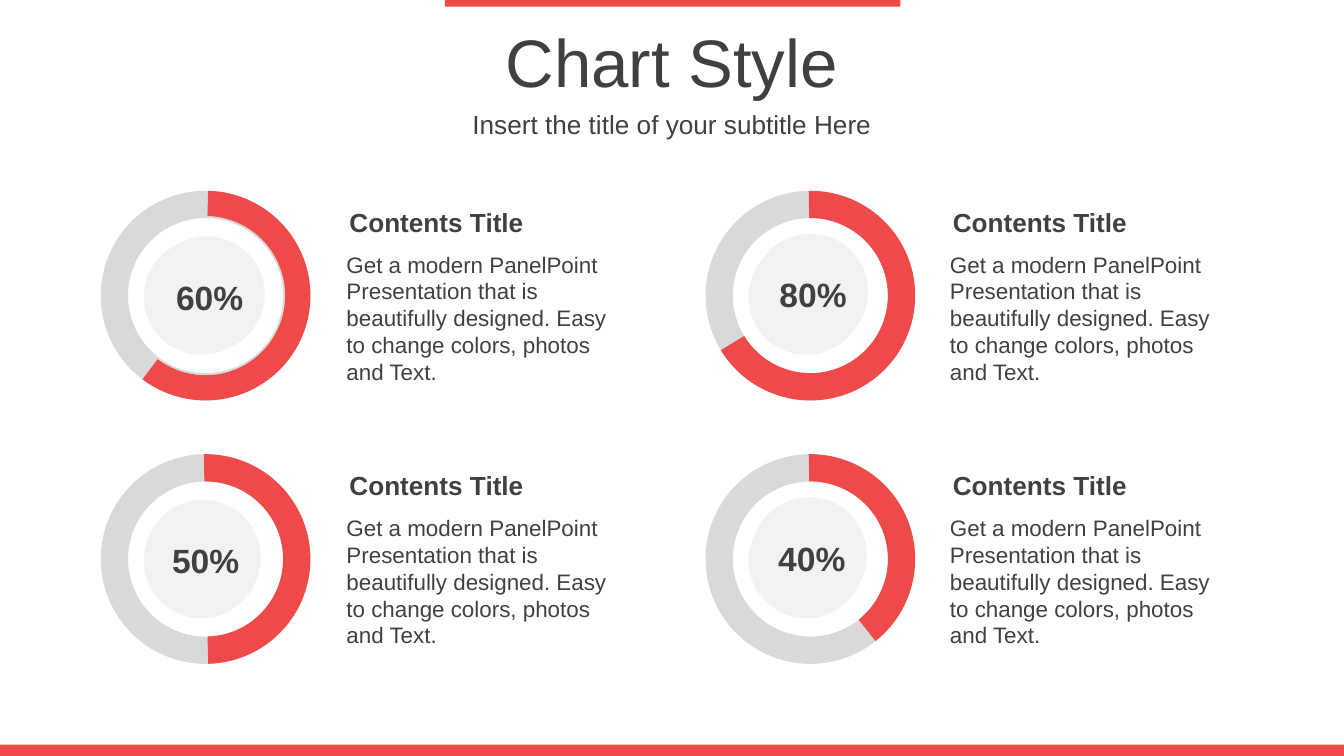
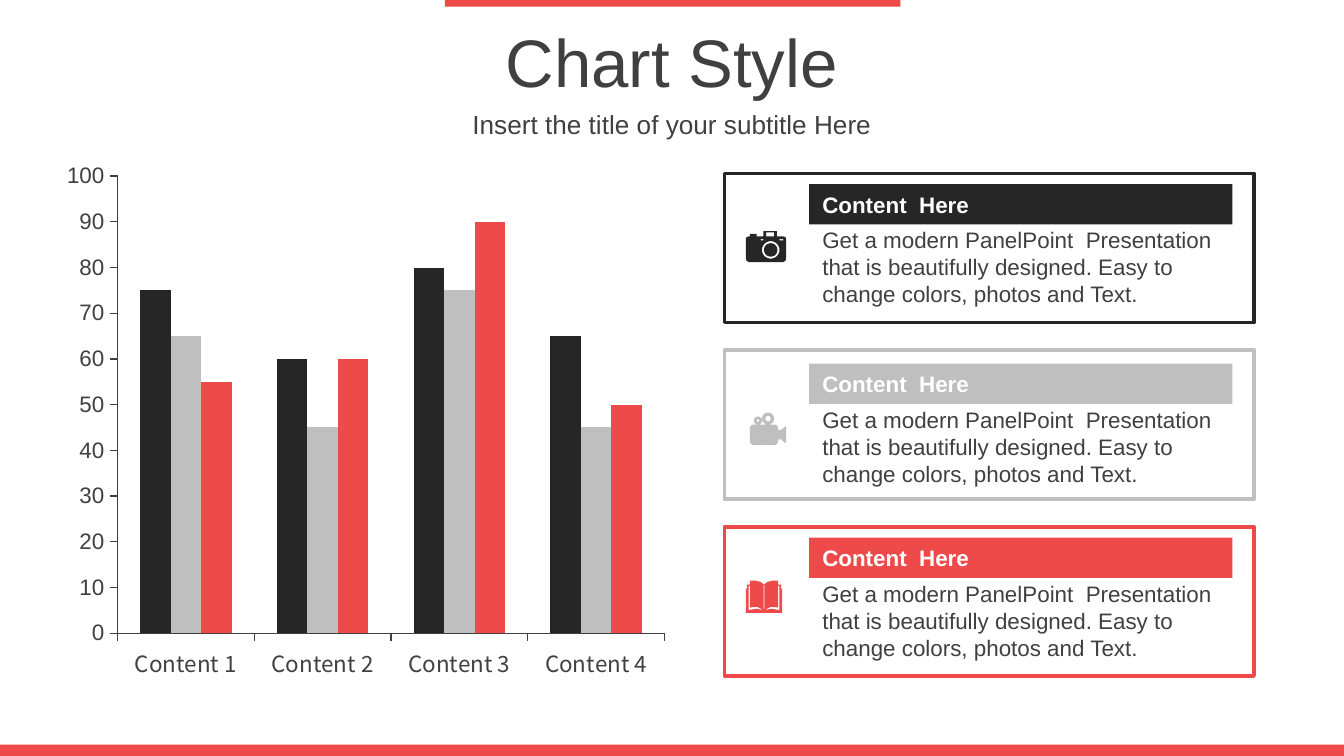
"""Build two chart slides: four percent rings, then a column chart with cards."""
from math import cos, pi, sin

from lxml import etree
from pptx import Presentation
from pptx.chart.data import CategoryChartData
from pptx.dml.color import RGBColor
from pptx.enum.chart import XL_CHART_TYPE, XL_TICK_MARK
from pptx.enum.shapes import MSO_SHAPE
from pptx.enum.text import MSO_ANCHOR, MSO_AUTO_SIZE, PP_ALIGN
from pptx.oxml.ns import qn
from pptx.util import Inches, Pt

RECT, OVAL = MSO_SHAPE.RECTANGLE, MSO_SHAPE.OVAL
DONUT, ARC = MSO_SHAPE.DONUT, MSO_SHAPE.BLOCK_ARC
MID, GROW = MSO_ANCHOR.MIDDLE, MSO_AUTO_SIZE.SHAPE_TO_FIT_TEXT
LEFT, CENTER = PP_ALIGN.LEFT, PP_ALIGN.CENTER
OUT, NONE = XL_TICK_MARK.OUTSIDE, XL_TICK_MARK.NONE
COLUMN = XL_CHART_TYPE.COLUMN_CLUSTERED

WIDE, TALL = 10, 10 * 9 / 16
FONT, CAT_FONT = "Arial", "Noto Sans CJK KR"
HEX = {"red": "EF4A4A", "ink": "404040", "dark": "262626", "gray": "BFBFBF",
       "track": "D9D9D9", "pale": "F2F2F2", "white": "FFFFFF"}

TITLE = "Chart Style"
SUB = "Insert the title of your subtitle Here"
HEAD = "Contents Title"
CARD_HEAD = "Content  Here"
BODY = ("Get a modern PanelPoint  Presentation that is beautifully designed. "
        "Easy to change colors, photos and Text.")

BANDS = [(3.31, 0, 3.39, 0.05), (0, 5.54, WIDE, TALL - 5.54)]

RINGS = [
    {"label": "60%", "arc": (271.39, 127, 0.12), "disc": (0.36, 0.34)},
    {"label": "80%", "arc": (269.13, 148.6, 0.13), "disc": (0.35, 0.32)},
    {"label": "50%", "arc": (269.13, 88.52, 0.13), "disc": (0.33, 0.34)},
    {"label": "40%", "arc": (269.13, 51.52, 0.13), "disc": (0.34, 0.32)},
]

CATS = ["Content 1", "Content 2", "Content 3", "Content 4"]
SERIES = [
    ("Series 1", (75, 60, 80, 65), "dark"),
    ("Series 2", (65, 45, 75, 45), "gray"),
    ("Series 3", (55, 60, 90, 50), "red"),
]
PLOT = {"x": 0.096, "y": 0.039, "w": 0.877, "h": 0.875}

CAMERA = [
    (18.5, 14, 5), (18.5, 14, 6.5),
    [(11, 6), (13, 6), (13, 7), (11, 7)],
    [(25, 6), (28, 6), (28, 7), (25, 7)],
    [(15, 1), (21, 1), (21, 4), (15, 4)],
    [(2, 4), (3, 4), (3, 2), (8, 2), (8, 4), (13, 4), (13, 0), (23, 0),
     (23, 4), (28, 4), (29.5, 4.5), (30, 6), (30, 20), (29.5, 22), (28, 23),
     (2, 23), (0.5, 22), (0, 20), (0, 6), (0.5, 4.5)],
]
VIDEO = [
    (6, 6, 1), (6, 6, 3), (13.5, 4.5, 2), (13.5, 4.5, 4.5),
    [(2, 9), (19, 9), (20.5, 10), (21, 12), (21, 13), (23, 13), (27, 10),
     (27, 23), (23, 20), (21, 20), (21, 21), (20.5, 23), (19, 24), (2, 24),
     (0.5, 23), (0, 21), (0, 12), (0.5, 10)],
]
PAGE = [(3, 4), (2, 4), (2, 22), (8, 21), (13, 22), (8.5, 19.5), (3, 20)]
BOOK = [
    PAGE, [(27 - x, y) for x, y in PAGE],
    [(13.3, 3.5), (13.7, 3.5), (13.7, 21), (13.3, 21)],
    [(0, 6), (1, 6), (1, 3), (3, 3), (3, 0), (7, 0), (11, 1), (13.5, 3),
     (16, 1), (20, 0), (24, 0), (24, 3), (26, 3), (26, 6), (27, 6),
     (27, 24), (0, 24)],
]
CARDS = [
    {"hue": "dark", "tab": 0.08, "icon": CAMERA, "spot": (5.55, 1.72)},
    {"hue": "gray", "tab": 0.1, "icon": VIDEO, "spot": (5.58, 3.07)},
    {"hue": "red", "tab": 0.08, "icon": BOOK, "spot": (5.55, 4.32)},
]


def rgb(name):
    return RGBColor.from_string(HEX[name])


def paint(shape, fill, line=None):
    shape.shadow.inherit = False
    shape.fill.solid()
    shape.fill.fore_color.rgb = rgb(fill)
    if line:
        shape.line.color.rgb = rgb(line)
        shape.line.width = Pt(2)
    else:
        shape.line.fill.background()


def style(font, size, color="ink", bold=False, name=FONT):
    for key, val in {"size": Pt(size), "bold": bold, "name": name}.items():
        setattr(font, key, val)
    font.color.rgb = rgb(color)


def block(slide, kind, at, fill, line=None, adj=()):
    shape = slide.shapes.add_shape(kind, *map(Inches, at))
    for i, val in enumerate(adj):
        shape.adjustments[i] = val
    paint(shape, fill, line)
    return shape


def write(shape, text, size, align=LEFT, inset=0.1, fit=GROW, **look):
    frame = shape.text_frame
    form = {"word_wrap": True, "vertical_anchor": MID, "auto_size": fit,
            "margin_left": Inches(inset), "margin_right": Inches(inset)}
    for key, val in form.items():
        setattr(frame, key, val)
    para = frame.paragraphs[0]
    para.alignment = align
    run = para.add_run()
    run.text = text
    style(run.font, size, **look)


def label(slide, at, text, size, **look):
    write(slide.shapes.add_textbox(*map(Inches, at)), text, size, **look)


def start(deck):
    slide = deck.slides.add_slide(deck.slide_layouts[6])
    for at in BANDS:
        block(slide, RECT, at, "red")
    mid = {"align": CENTER, "fit": MSO_AUTO_SIZE.NONE}
    label(slide, (0, 0.14, WIDE, 0.63), TITLE, 36, **mid)
    label(slide, (0, 0.77, WIDE, 0.31), SUB, 14, **mid)
    return slide


def draw_ring(slide, i, ring):
    row, col = divmod(i, 2)
    x, y, size, disc = 0.75 + 4.5 * col, 1.42 + 1.96 * row, 1.56, 0.86
    begin, end, thick = ring["arc"]
    dx, dy = x + ring["disc"][0], y + ring["disc"][1]
    block(slide, DONUT, (x, y, size, size), "track", adj=[0.13])
    block(slide, OVAL, (x + 0.32, y + 0.36, disc, disc), "pale")
    block(slide, ARC, (x, y, size, size), "red",
          adj=[begin * 0.6, end * 0.6, thick])
    block(slide, OVAL, (dx, dy, disc, disc), "pale")
    label(slide, (dx + 0.06, dy + 0.25, 0.78, 0.4), ring["label"], 18,
          align=CENTER, bold=True)
    left = 2.48 + 4.49 * col
    label(slide, (left, y + 0.39, 2.2, 1.11), BODY, 12)
    label(slide, (left, y + 0.06, 2.2, 0.34), HEAD, 14, inset=0.12, bold=True)


def trace(part):
    if isinstance(part, list):
        return part
    x, y, r = part
    turns = [2 * pi * i / 32 for i in range(32)]
    return [(x + r * cos(t), y + r * sin(t)) for t in turns]


def draw_icon(slide, parts, spot, hue):
    paths = [[(spot[0] * 1000 + x * 10, spot[1] * 1000 + y * 10)
              for x, y in trace(part)] for part in parts]
    pen = slide.shapes.build_freeform(*paths[0][0], scale=Inches(1) / 1000)
    for i, path in enumerate(paths):
        if i:
            pen.move_to(*path[0])
        pen.add_line_segments(path[1:], close=True)
    paint(pen.convert_to_shape(), hue)


def draw_card(slide, i, card):
    y, hue = 1.29 + 1.315 * i, card["hue"]
    top = y + card["tab"]
    block(slide, RECT, (5.39, y, 3.94, 1.11), "white", hue)
    label(slide, (6.02, top + 0.26, 3.15, 0.71), BODY, 12)
    tab = block(slide, RECT, (6.02, top, 3.15, 0.3), hue)
    write(tab, CARD_HEAD, 12, color="white", bold=True)
    draw_icon(slide, card["icon"], card["spot"], hue)


def place_plot(chart):
    area = chart._chartSpace.xpath("//c:plotArea")[0]
    for old in area.findall(qn("c:layout")):
        area.remove(old)
    layout = etree.Element(qn("c:layout"))
    manual = etree.SubElement(layout, qn("c:manualLayout"))
    vals = {"layoutTarget": "inner", "xMode": "edge", "yMode": "edge", **PLOT}
    for key, val in vals.items():
        etree.SubElement(manual, qn("c:" + key)).set("val", str(val))
    area.insert(0, layout)


def draw_chart(slide):
    data = CategoryChartData()
    data.categories = CATS
    for name, vals, _ in SERIES:
        data.add_series(name, vals)
    at = map(Inches, (0.43, 1.16, 4.64, 3.9))
    chart = slide.shapes.add_chart(COLUMN, *at, data).chart
    chart.has_legend = chart.has_title = False
    style(chart.font, 12)
    plot = chart.plots[0]
    plot.gap_width, plot.overlap, plot.vary_by_categories = 150, 0, False
    for series, (_, _, hue) in zip(plot.series, SERIES):
        series.format.fill.solid()
        series.format.fill.fore_color.rgb = rgb(hue)
    form = {"has_major_gridlines": False, "major_tick_mark": OUT,
            "minor_tick_mark": NONE}
    for axis, face in ((chart.category_axis, CAT_FONT),
                       (chart.value_axis, FONT)):
        for key, val in form.items():
            setattr(axis, key, val)
        style(axis.tick_labels.font, 12, name=face)
        axis.format.line.color.rgb = rgb("ink")
        axis.format.line.width = Pt(0.75)
    scale = {"minimum_scale": 0, "maximum_scale": 100, "major_unit": 10}
    for key, val in scale.items():
        setattr(chart.value_axis, key, val)
    place_plot(chart)


def main():
    deck = Presentation()
    deck.slide_width, deck.slide_height = Inches(WIDE), Inches(TALL)
    slide = start(deck)
    for i, ring in enumerate(RINGS):
        draw_ring(slide, i, ring)
    slide = start(deck)
    draw_chart(slide)
    for i, card in enumerate(CARDS):
        draw_card(slide, i, card)
    deck.save("out.pptx")


if __name__ == "__main__":
    main()
